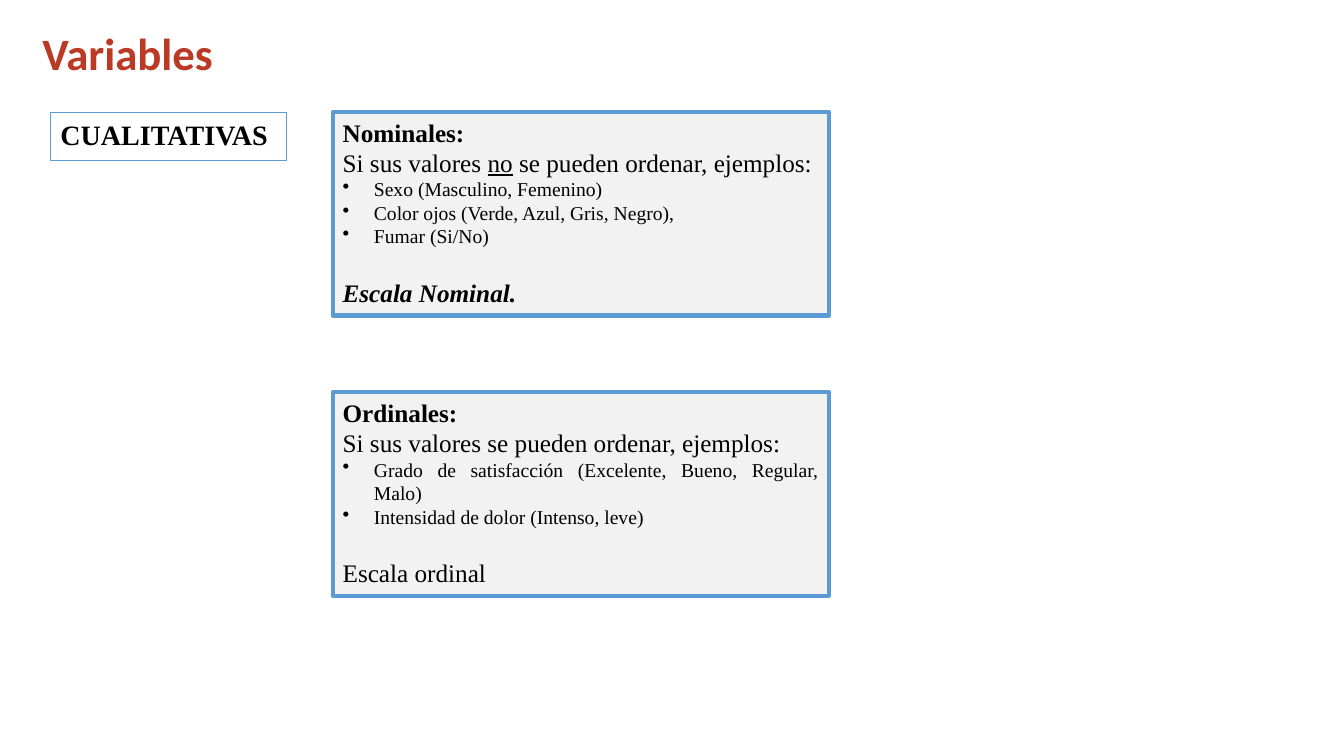
"""Build a slide on the two kinds of qualitative variables."""
import pptx
import pptx.util
import pptx.dml.color
import pptx.enum.shapes
import pptx.enum.text
import lxml.etree
import pptx.oxml.ns

Inches, Pt = pptx.util.Inches, pptx.util.Pt
RGBColor = pptx.dml.color.RGBColor
ALIGN, ANCHOR = pptx.enum.text.PP_ALIGN, pptx.enum.text.MSO_ANCHOR

RED = RGBColor(0xBB, 0x3A, 0x26)
BLUE = RGBColor(0x5B, 0x9B, 0xD5)
GRAY = RGBColor(0xF2, 0xF2, 0xF2)
WHITE = RGBColor(0xFF, 0xFF, 0xFF)
BLACK = RGBColor(0, 0, 0)
SERIF = "Times New Roman"

TITLE = "Variables"
CATEGORY = "CUALITATIVAS"
KINDS = [
    {
        "name": "Nominales:",
        "rule": [("Si sus valores ", {}), ("no", {"underline": True}),
                 (" se pueden ordenar, ejemplos:", {})],
        "examples": ["Sexo (Masculino, Femenino)",
                     "Color ojos (Verde, Azul, Gris, Negro),",
                     "Fumar (Si/No)"],
        "scale": ("Escala Nominal.", {"bold": True, "italic": True}),
    },
    {
        "name": "Ordinales:",
        "rule": [("Si sus valores se pueden ordenar, ejemplos:", {})],
        "examples": ["Grado de satisfacción (Excelente, Bueno, Regular, Malo)",
                     "Intensidad de dolor (Intenso, leve)"],
        "scale": ("Escala ordinal", {}),
    },
]
TOP, PITCH = 1.11, 2.78
KIND_LEFT, KIND_WIDTH, KIND_HEIGHT = 3.3, 4.92, 2.02
INDENT = Inches(0.31)
SCALE_GAP = Pt(20.7)


def place(shape, left, top, width, height):
    shape.left, shape.top = Inches(left), Inches(top)
    shape.width, shape.height = Inches(width), Inches(height)


def paint(shape, fill, line_width):
    shape.fill.solid()
    shape.fill.fore_color.rgb = fill
    shape.line.color.rgb = BLUE
    shape.line.width = Pt(line_width)


def add_span(para, text, size, font=SERIF, color=BLACK, **style):
    span = para.add_run()
    span.text = text
    span.font.name, span.font.size = font, Pt(size)
    span.font.color.rgb = color
    for name, value in style.items():
        setattr(span.font, name, value)


def set_bullet(para, character=None):
    props = para._p.get_or_add_pPr()
    props.set("marL", str(INDENT if character else 0))
    props.set("indent", str(-INDENT if character else 0))
    tag = "a:buChar" if character else "a:buNone"
    bullet = lxml.etree.SubElement(props, pptx.oxml.ns.qn(tag))
    if character:
        bullet.set("char", character)


def fill_placeholder(shape, text, size, **style):
    frame = shape.text_frame
    frame.word_wrap = True
    frame.auto_size = pptx.enum.text.MSO_AUTO_SIZE.NONE
    frame.vertical_anchor = ANCHOR.MIDDLE
    para = frame.paragraphs[0]
    para.alignment = ALIGN.LEFT
    para.line_spacing = 0.9
    para.space_before = Pt(0)
    set_bullet(para)
    add_span(para, text, size, bold=True, **style)


def add_kind(page, top, kind):
    box = page.shapes.add_shape(
        pptx.enum.shapes.MSO_SHAPE.RECTANGLE, Inches(KIND_LEFT), Inches(top),
        Inches(KIND_WIDTH), Inches(KIND_HEIGHT))
    box.shadow.inherit = False
    paint(box, GRAY, 3)
    frame = box.text_frame
    frame.word_wrap = True
    frame.vertical_anchor = ANCHOR.TOP
    lines = [([(kind["name"], {"bold": True})], 18, None), (kind["rule"], 18, None)]
    lines += [([(example, {})], 14, "•") for example in kind["examples"]]
    lines.append(([kind["scale"]], 18, None))
    for index, (spans, size, bullet) in enumerate(lines):
        para = frame.add_paragraph() if index else frame.paragraphs[0]
        para.alignment = ALIGN.JUSTIFY
        if index == len(lines) - 1:
            para.space_before = SCALE_GAP
        set_bullet(para, bullet)
        for text, style in spans:
            add_span(para, text, size, **style)


deck = pptx.Presentation()
deck.slide_width, deck.slide_height = Inches(13.33), Inches(7.5)
page = deck.slides.add_slide(deck.slide_layouts[1])

title, category = page.shapes.title, page.placeholders[1]
place(title, 0.32, 0.3, 12.69, 0.51)
fill_placeholder(title, TITLE, 32, font="Calibri", color=RED)
place(category, 0.5, TOP, 2.34, 0.48)
paint(category, WHITE, 0.5)
fill_placeholder(category, CATEGORY, 20)

for row, kind in enumerate(KINDS):
    add_kind(page, TOP + row * PITCH, kind)

deck.save("out.pptx")
